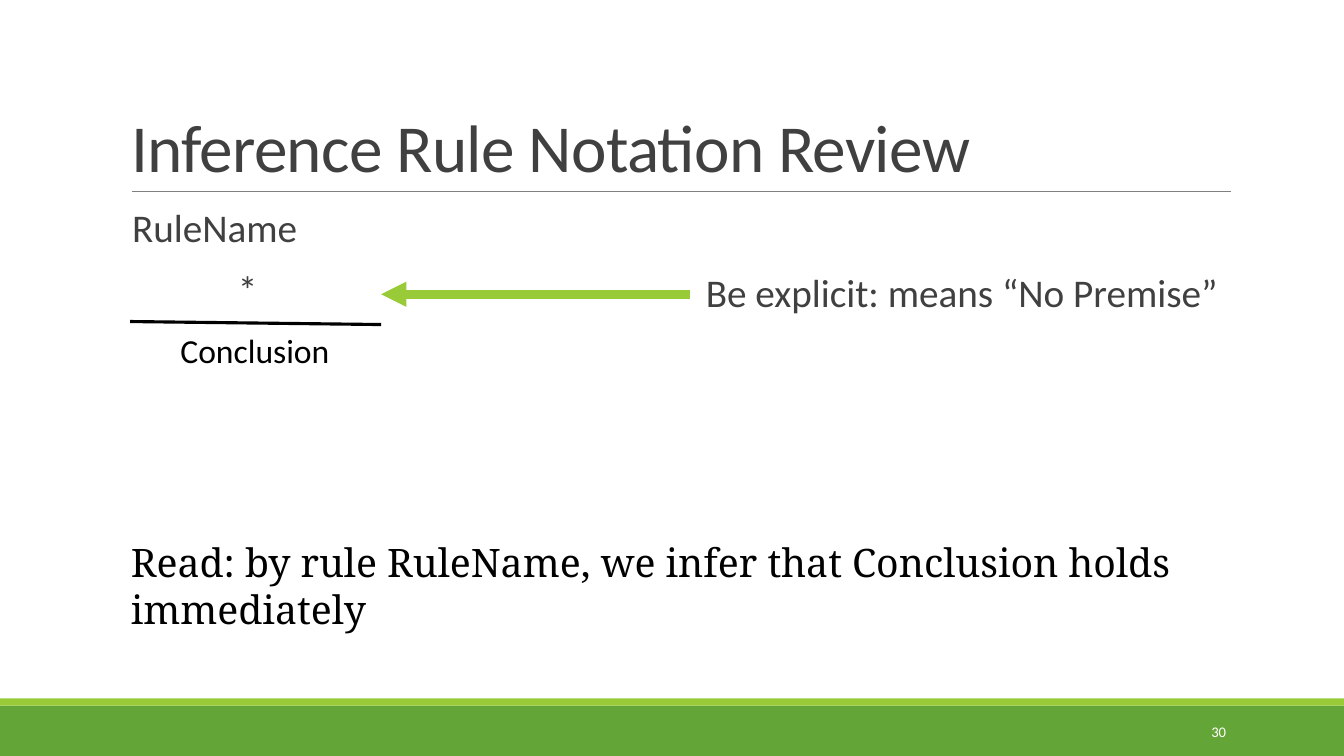
from lxml import etree
from pptx import Presentation
from pptx.dml.color import RGBColor
from pptx.enum.shapes import MSO_CONNECTOR, MSO_SHAPE
from pptx.enum.text import MSO_ANCHOR, MSO_AUTO_SIZE, PP_ALIGN
from pptx.oxml.ns import qn
from pptx.util import Inches, Pt

STRAIGHT, RECT = MSO_CONNECTOR.STRAIGHT, MSO_SHAPE.RECTANGLE
TOP, MIDDLE, BOTTOM = MSO_ANCHOR.TOP, MSO_ANCHOR.MIDDLE, MSO_ANCHOR.BOTTOM
LEFT, RIGHT = PP_ALIGN.LEFT, PP_ALIGN.RIGHT
NO_FIT = MSO_AUTO_SIZE.NONE

GREEN = RGBColor(0x63, 0xA5, 0x37)
LIME = RGBColor(0x99, 0xCB, 0x38)
GRAY = RGBColor(0x80, 0x80, 0x80)
DARK = RGBColor(0x40, 0x40, 0x40)
BLACK = RGBColor(0, 0, 0)
WHITE = RGBColor(255, 255, 255)

prs = Presentation()
prs.slide_width, prs.slide_height = Inches(13.33), Inches(7.5)
s = prs.slides.add_slide(prs.slide_layouts[5])


def write(text, at, size, color, shape=None, font="Calibri", align=LEFT,
          anchor=TOP, inset=0.1, wrap=True, spacing=None, before=0, after=0):
    """Write each line of text as a paragraph in a new box or a given shape."""
    box = [Inches(v) for v in at]
    sp = shape or s.shapes.add_textbox(*box)
    sp.left, sp.top, sp.width, sp.height = box
    tf = sp.text_frame
    tf.auto_size, tf.word_wrap, tf.vertical_anchor = NO_FIT, wrap, anchor
    tf.margin_left = tf.margin_right = Inches(inset)
    tf.margin_top = tf.margin_bottom = Inches(0.05)
    for i, line in enumerate(text.split("\n")):
        p = tf.add_paragraph() if i else tf.paragraphs[0]
        p.alignment, p.line_spacing = align, spacing
        p.space_before, p.space_after = Pt(before), Pt(after)
        r = p.add_run()
        r.text = line
        r.font.name, r.font.size, r.font.color.rgb = font, Pt(size), color
    return tf


def connect(start, end, color, width):
    c = s.shapes.add_connector(STRAIGHT, *[Inches(v) for v in start + end])
    c.line.color.rgb, c.line.width = color, Pt(width)
    etree.SubElement(c._element.spPr, qn("a:effectLst"))
    return c


# Footer bands and slide number
for top, height, color in [(7, 0.5, GREEN), (6.93, 0.07, LIME)]:
    sp = s.shapes.add_shape(RECT, 0, Inches(top), prs.slide_width, Inches(height))
    sp.shadow.inherit = False
    sp.fill.solid()
    sp.fill.fore_color.rgb = color
    sp.line.fill.background()
write("30", (10.83, 7.06, 1.43, 0.4), 10.5, WHITE, align=RIGHT, anchor=MIDDLE)

# Title with its rule
tf = write("Inference Rule Notation Review", (1.2, 0.31, 11, 1.59), 48, DARK,
           shape=s.shapes.title, anchor=BOTTOM, spacing=0.85)
tf.paragraphs[0].runs[0].font._element.set("spc", "-50")
connect((1.31, 1.9), (12.21, 1.9), GRAY, 0.5)

# Inference rule: name, premise, bar, conclusion
body = dict(inset=0, spacing=0.9, before=12, after=2)
tf = write("RuleName\n*", (1.31, 2.02, 5.62, 3.19), 28, DARK, **body)
tf.paragraphs[1]._p.get_or_add_pPr().set("marL", str(Inches(1.05)))
connect((1.29, 3.19), (3.78, 3.22), BLACK, 2.25)
write("Conclusion", (1.69, 3.22, 1.69, 0.5), 24, BLACK, wrap=False)

# Note pointing at the premise
arrow = connect((6.84, 2.92), (3.78, 2.92), LIME, 6)
etree.SubElement(arrow.line._get_or_add_ln(), qn("a:tailEnd"), type="triangle")
write("Be explicit: means “No Premise”", (7, 2.67, 5.62, 1.2), 28, DARK, **body)

# Reading of the rule
write("Read: by rule RuleName, we infer that Conclusion holds immediately",
      (1.2, 5.29, 11.62, 1.04), 28, BLACK, font="Noto Serif")

prs.save("out.pptx")
